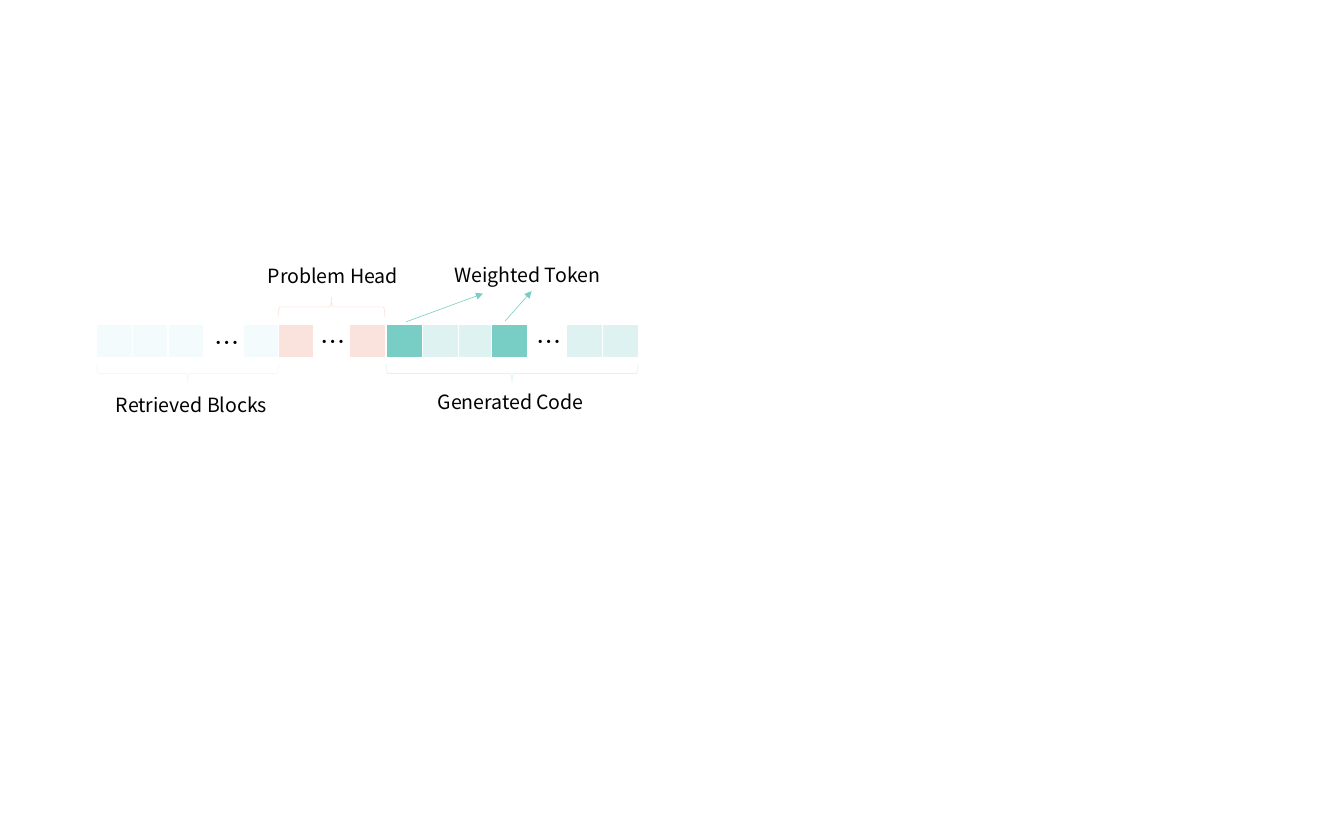
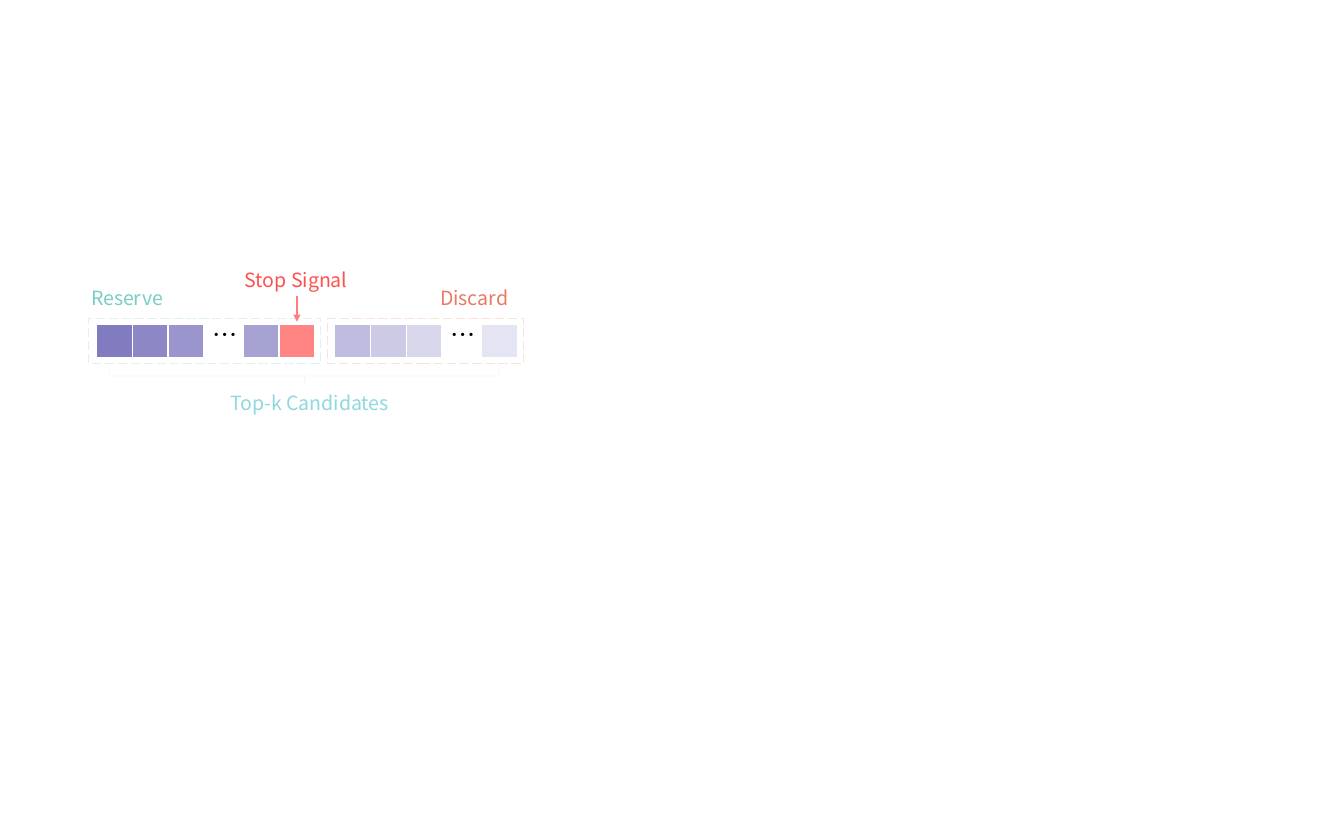
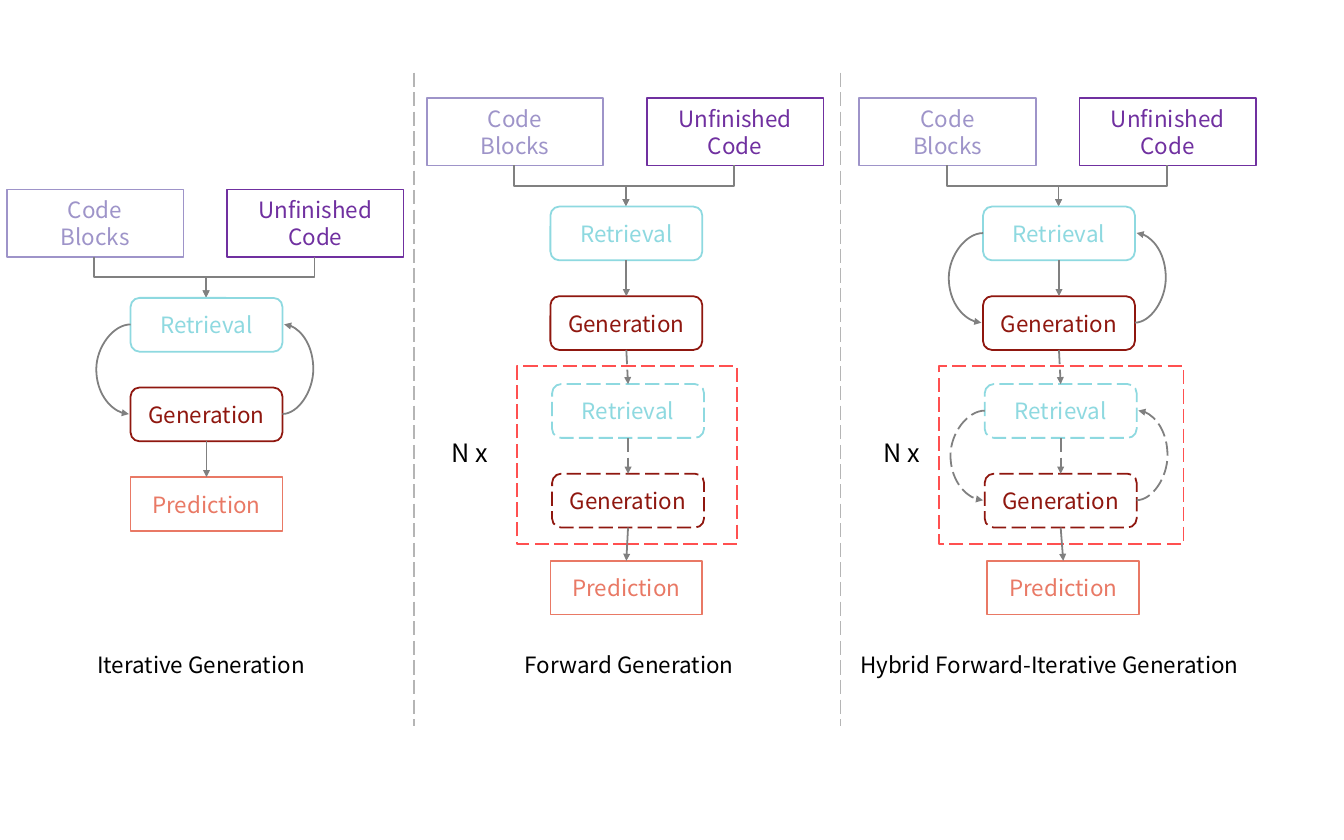
"""Build three diagram slides on token weighting, candidate cut-off and generation flows."""
from lxml.etree import SubElement
from pptx import Presentation
from pptx.dml.color import RGBColor
from pptx.enum.dml import MSO_LINE
from pptx.enum.shapes import MSO_CONNECTOR as LINK, MSO_SHAPE as SHAPE
from pptx.enum.text import MSO_ANCHOR, MSO_AUTO_SIZE, PP_ALIGN
from pptx.oxml.ns import qn
from pptx.util import Pt

PX = 9144
FONT = "Noto Sans CJK SC"
LABEL, STEP, DOTS = 16.5, 18.9, 21.3
CELL_W, CELL_H, CELL_TOP = 42, 39, 380
STEP_W, STEP_H, STEP_PITCH = 178, 63, 105
INPUT_W, INPUT_H = 207, 79
COLORS = {
    "white": "FFFFFF", "black": "000000", "gray": "808080", "divider": "B5B5B5",
    "retrieved": "F4FBFC", "head": "FAE2DD", "code": "DEF3F1", "weighted": "78CEC4",
    "brace": "EDF9FA", "candidate": "817BC0", "signal": "FF5050", "arrow": "FF7C80",
    "retrieval": "8ED9E0", "generation": "8F170F", "prediction": "E97965",
    "blocks": "9E94C9", "unfinished": "7030A0",
}


def rgb(color):
    return RGBColor.from_string(COLORS[color])


def emu(*lengths):
    return [length * PX for length in lengths]


def style_line(line, color, width, dashed=False):
    line.color.rgb = rgb(color)
    line.width = Pt(width)
    if dashed:
        line.dash_style = MSO_LINE.LONG_DASH


def style_text(frame, size, color):
    for paragraph in frame.paragraphs:
        for run in paragraph.runs:
            run.font.size = Pt(size)
            run.font.color.rgb = rgb(color)
            run.font.name = FONT
            SubElement(run.font._element, qn("a:ea")).set("typeface", FONT)


def add_label(slide, text, left, top, width, height, size=LABEL, color="black", wrap=False):
    label = slide.shapes.add_textbox(*emu(left, top, width, height))
    frame = label.text_frame
    frame.text = text
    frame.word_wrap = wrap
    frame.auto_size = MSO_AUTO_SIZE.SHAPE_TO_FIT_TEXT
    style_text(frame, size, color)


def add_outline(slide, preset, box, color, width=1.5, dashed=False):
    outline = slide.shapes.add_shape(preset, *emu(*box))
    outline.shadow.inherit = False
    outline.fill.background()
    style_line(outline.line, color, width, dashed)
    return outline


def add_brace(slide, box, color, rotation, mirrored=True):
    brace = add_outline(slide, SHAPE.RIGHT_BRACE, box, color, 0.5)
    brace.rotation = rotation
    if mirrored:
        brace._element.spPr.xfrm.set("flipH", "1")


def add_cells(slide, left, fills):
    """Draw touching token cells; each fill is a colour name and an opacity in percent."""
    for index, (color, opacity) in enumerate(fills):
        box = (left + index * CELL_W, CELL_TOP, CELL_W, CELL_H)
        cell = add_outline(slide, SHAPE.RECTANGLE, box, "white", 1)
        cell.fill.solid()
        cell.fill.fore_color.rgb = rgb(color)
        if opacity < 100:
            tint = cell._element.spPr.find(qn("a:solidFill")).find(qn("a:srgbClr"))
            SubElement(tint, qn("a:alpha")).set("val", str(opacity * 1000))


def add_line(slide, start, end, color="gray", width=1.5, dashed=False, head=True, kind=LINK.STRAIGHT):
    connector = slide.shapes.add_connector(kind, *emu(*start, *end))
    style_line(connector.line, color, width, dashed)
    if head:
        SubElement(connector.line._get_or_add_ln(), qn("a:tailEnd")).set("type", "triangle")
    SubElement(connector._element.spPr, qn("a:effectLst"))
    return connector


def add_link(slide, upper, lower, dashed=False):
    """Join the bottom of one box to the top of the next."""
    link = add_line(slide, (0, 0), (0, 0), dashed=dashed)
    link.begin_connect(upper, 2)
    link.end_connect(lower, 0)


def add_routed(slide, kind, box, bend, rotation=0, flip=None, dashed=False):
    """Draw a bent or curved arrow in a turned frame; bend is in percent of its width."""
    left, top, width, height = box
    route = add_line(slide, (left, top), (left + width, top + height), dashed=dashed, kind=kind)
    properties = route._element.spPr
    properties.xfrm.set("rot", str(rotation * 60000))
    if flip:
        properties.xfrm.set(flip, "1")
    guide = SubElement(properties.find(qn("a:prstGeom")).find(qn("a:avLst")), qn("a:gd"))
    guide.set("name", "adj1")
    guide.set("fmla", f"val {bend * 1000}")


def add_merge(slide, start, end, rotation, flip=None):
    """Draw an elbow arrow that leaves downwards and enters from above."""
    (x1, y1), (x2, y2) = start, end
    width, height = y2 - y1, abs(x2 - x1)
    box = ((x1 + x2 - width) // 2, (y1 + y2 - height) // 2, width, height)
    add_routed(slide, LINK.ELBOW, box, 50, rotation, flip)


def add_box(slide, text, preset, box, color, dashed=False):
    step = add_outline(slide, preset, box, color, dashed=dashed)
    frame = step.text_frame
    frame.text = text
    frame.word_wrap = True
    frame.vertical_anchor = MSO_ANCHOR.MIDDLE
    for paragraph in frame.paragraphs:
        paragraph.alignment = PP_ALIGN.CENTER
    style_text(frame, STEP, color)
    return step


def add_stage(slide, left, top, looped, dashed=False):
    """Draw a retrieval and generation pair, linked straight or as a loop."""
    retrieval, generation = (
        add_box(slide, text, SHAPE.ROUNDED_RECTANGLE,
                (left, top + row * STEP_PITCH, STEP_W, STEP_H), text.lower(), dashed)
        for row, text in enumerate(("Retrieval", "Generation")))
    if looped:
        middle = top + STEP_H // 2
        add_routed(slide, LINK.CURVE, (left - 2, middle, 2, STEP_PITCH), 2000, 180, "flipV", dashed)
        add_routed(slide, LINK.CURVE, (left + STEP_W, middle, 2, STEP_PITCH), 1800, 0, "flipV", dashed)
    return retrieval, generation


def add_inputs(slide, left, top):
    """Draw the two inputs above a stage and merge them into it."""
    input_top, target = top - 127, (left + STEP_W // 2, top)
    inputs = (("Code\nBlocks", "blocks", left - 145, 270, "flipH"),
              ("Unfinished\nCode", "unfinished", left + 113, 90, None))
    for text, color, x, rotation, flip in inputs:
        add_box(slide, text, SHAPE.RECTANGLE, (x, input_top, INPUT_W, INPUT_H), color)
        add_merge(slide, (x + INPUT_W // 2, input_top + INPUT_H), target, rotation, flip)


def add_flow(slide, left, top, looped, prediction_at, repeat_frame=None):
    """Draw one generation flow, with a repeated stage when a frame is given."""
    add_inputs(slide, left, top)
    retrieval, generation = add_stage(slide, left, top, looped)
    if not looped or repeat_frame:
        add_link(slide, retrieval, generation)
    if repeat_frame:
        next_retrieval, last = add_stage(slide, left + 2, top + 208, looped, dashed=True)
        add_link(slide, generation, next_retrieval, dashed=True)
        add_link(slide, next_retrieval, last, dashed=True)
        add_outline(slide, SHAPE.RECTANGLE, repeat_frame, "signal", dashed=True)
        add_label(slide, "N x", left - 126, 507, 68, 46, DOTS)
        generation = last
    prediction = add_box(slide, "Prediction", SHAPE.RECTANGLE,
                         (*prediction_at, STEP_W, STEP_H), "prediction")
    add_link(slide, generation, prediction)


def build_tokens(slide):
    retrieved, head, code, weighted = (
        (name, 100) for name in ("retrieved", "head", "code", "weighted"))
    for left, fills in ((113, [retrieved] * 3), (285, [retrieved]), (326, [head]), (410, [head]),
                        (453, [weighted, code, code]), (576, [weighted]), (664, [code] * 2)):
        add_cells(slide, left, fills)
    for left, top in ((241, 379), (366, 377), (619, 377)):
        add_label(slide, "…", left, top, 44, 46, DOTS)
    add_brace(slide, (209, 331, 22, 213), "brace", 270)
    add_brace(slide, (589, 290, 22, 295), "code", 270)
    add_brace(slide, (377, 297, 23, 125), "head", 90)
    add_label(slide, "Retrieved Blocks", 126, 455, 202, 38)
    add_label(slide, "Problem Head", 304, 304, 179, 38)
    add_label(slide, "Generated Code", 503, 452, 201, 38)
    add_label(slide, "Weighted Token", 523, 303, 200, 38)
    add_line(slide, (476, 377), (566, 344), "weighted", 0.5)
    add_line(slide, (592, 376), (623, 341), "weighted", 0.5)


def build_candidates(slide):
    add_outline(slide, SHAPE.RECTANGLE, (104, 373, 272, 53), "code", 1, True)
    add_outline(slide, SHAPE.RECTANGLE, (384, 373, 230, 53), "head", 1, True)
    for left, opacities in ((113, (100, 90, 80)), (285, (70,)), (392, (50, 40, 30)), (564, (20,))):
        add_cells(slide, left, [("candidate", opacity) for opacity in opacities])
    add_cells(slide, 327, [("signal", 70)])
    for left in (239, 518):
        add_label(slide, "…", left, 369, 44, 46, DOTS)
    add_brace(slide, (348, 212, 18, 457), "brace", 90, mirrored=False)
    add_line(slide, (348, 347), (348, 377), "arrow")
    add_label(slide, "Top-k Candidates", 260, 453, 214, 38, color="retrieval")
    add_label(slide, "Stop Signal", 277, 309, 145, 38, color="signal")
    add_label(slide, "Reserve", 97, 330, 107, 38, color="weighted")
    add_label(slide, "Discard", 506, 330, 103, 38, color="prediction")


def build_flows(slide):
    add_flow(slide, 153, 349, True, (153, 559))
    add_flow(slide, 645, 242, False, (645, 657), (606, 429, 258, 208))
    add_flow(slide, 1152, 242, True, (1157, 657), (1100, 429, 287, 208))
    add_label(slide, "Iterative Generation", 104, 758, 272, 42, STEP)
    add_label(slide, "Forward Generation", 605, 758, 274, 42, STEP)
    add_label(slide, "Hybrid Forward-Iterative Generation", 998, 758, 485, 42, STEP, wrap=True)
    for x in (485, 985):
        add_line(slide, (x, 85), (x, 850), "divider", dashed=True, head=False)


def main():
    deck = Presentation()
    deck.slide_width, deck.slide_height = emu(1575, 984)
    for build in (build_tokens, build_candidates, build_flows):
        build(deck.slides.add_slide(deck.slide_layouts[6]))
    deck.save("out.pptx")


if __name__ == "__main__":
    main()
